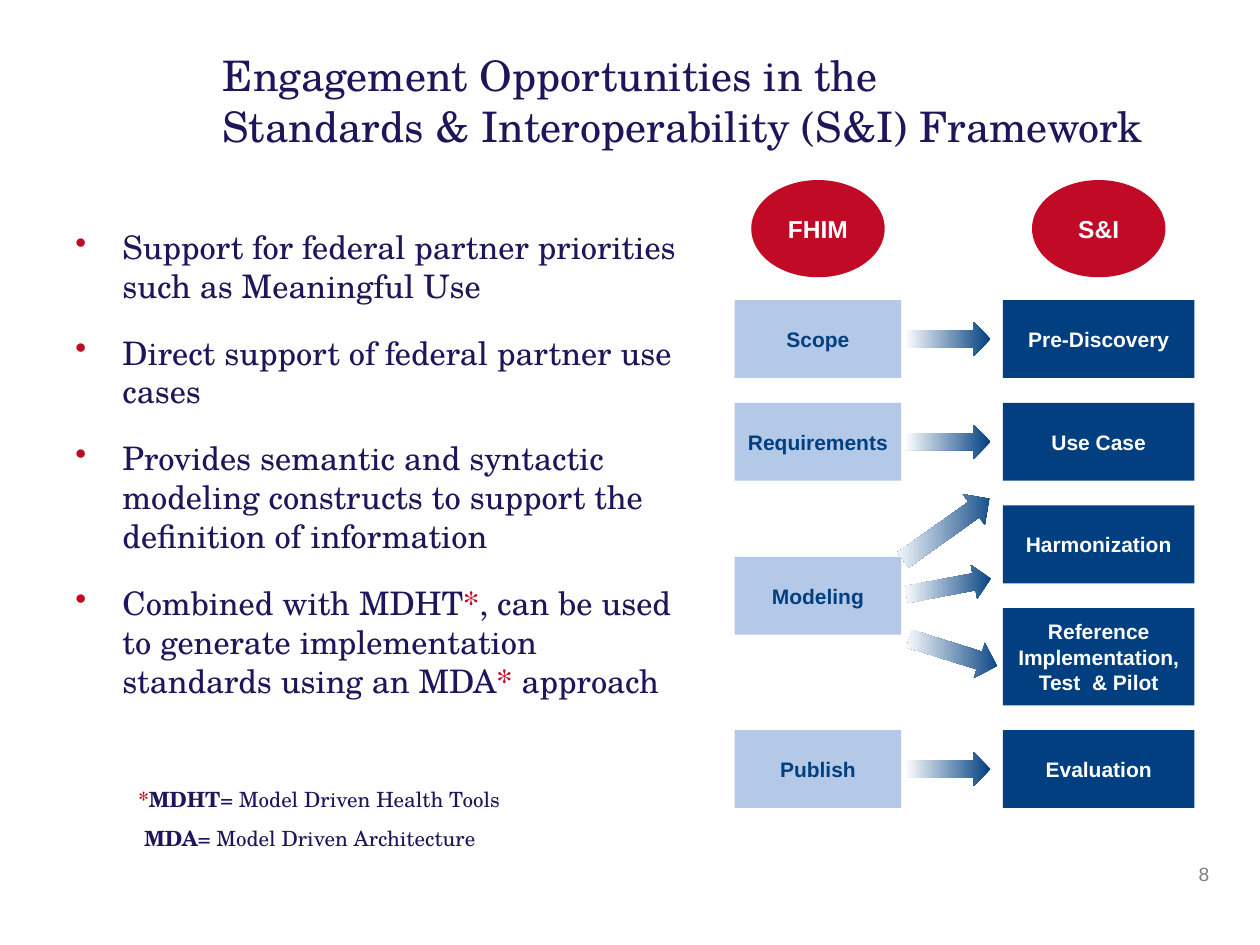
from pptx import Presentation
from pptx.dml.color import RGBColor
from pptx.enum.shapes import MSO_SHAPE
from pptx.enum.text import MSO_ANCHOR, PP_ALIGN
from pptx.oxml import parse_xml
from pptx.oxml.ns import nsdecls
from pptx.util import Cm, Pt

SERIF, SANS = "TeX Gyre Schola", "Arial"
INK, RED, NAVY, PALE = "1D165A", "C10A25", "013F80", "B3C9E7"
WHITE, GREY = "FFFFFF", "808080"

STEP_HEIGHT, TALL_HEIGHT, GAP = 1.57, 1.96, 0.5
FHIM_LEFT, FHIM_WIDTH = 14.81, 3.36
SI_LEFT, SI_WIDTH = 20.22, 3.86
BADGE_TOP, BADGE_WIDTH, BADGE_HEIGHT = 3.63, 2.69, 1.96

SI_STEPS = [
    ("Pre-Discovery", STEP_HEIGHT),
    ("Use Case", STEP_HEIGHT),
    ("Harmonization", STEP_HEIGHT),
    ("Reference Implementation, Test  & Pilot", TALL_HEIGHT),
    ("Evaluation", STEP_HEIGHT),
]
# Text between asterisks is normal; each asterisk itself is red.
POINTS = [
    "Support for federal partner priorities such as Meaningful Use",
    "Direct support of federal partner use cases",
    "Provides semantic and syntactic modeling constructs to support the "
    "definition of information",
    "Combined with MDHT*, can be used to generate implementation standards "
    "using an MDA* approach",
]
ABBREVIATIONS = [
    [("*", RED, True), ("MDHT", INK, True),
     ("= Model Driven Health Tools", INK, False)],
    [(" MDA", INK, True), ("= Model Driven Architecture", INK, False)],
]


def color(hex_code):
    return RGBColor.from_string(hex_code)


def set_font(font, name, size, hex_code, bold=False):
    font.name, font.size, font.bold = name, Pt(size), bold
    font.color.rgb = color(hex_code)


def add_text_frame(slide, left, top, width, height):
    box = slide.shapes.add_textbox(Cm(left), Cm(top), Cm(width), Cm(height))
    box.text_frame.word_wrap = True
    return box.text_frame


def next_paragraph(frame, index):
    return frame.add_paragraph() if index else frame.paragraphs[0]


def add_run(paragraph, text, hex_code, bold=None):
    run = paragraph.add_run()
    run.text = text
    run.font.color.rgb = color(hex_code)
    run.font.bold = bold


def add_bullet(paragraph, hex_code):
    """Give the paragraph a coloured bullet with a hanging indent."""
    properties = paragraph._p.get_or_add_pPr()
    properties.set("marL", str(Cm(0.95)))
    properties.set("indent", str(-Cm(0.95)))
    properties.insert_element_before(
        parse_xml(f'<a:buClr {nsdecls("a")}><a:srgbClr val="{hex_code}"/></a:buClr>'),
        "a:defRPr")
    properties.insert_element_before(
        parse_xml(f'<a:buChar {nsdecls("a")} char="•"/>'), "a:defRPr")


def add_title(slide):
    frame = add_text_frame(slide, 4.24, 0.43, 21.39, 3.18)
    frame.vertical_anchor = MSO_ANCHOR.MIDDLE
    title = frame.paragraphs[0]
    title.text = ("Engagement Opportunities in the \v"
                  "Standards & Interoperability (S&I) Framework")
    set_font(title.font, SERIF, 24, INK)


def add_points(slide):
    frame = add_text_frame(slide, 1.27, 4.45, 12.7, 11.43)
    for index, point in enumerate(POINTS):
        paragraph = next_paragraph(frame, index)
        paragraph.space_before = Pt(16)
        set_font(paragraph.font, SERIF, 18.5, INK)
        add_bullet(paragraph, RED)
        for part_index, part in enumerate(point.split("*")):
            if part_index:
                add_run(paragraph, "*", RED)
            add_run(paragraph, part, INK)


def add_abbreviations(slide):
    frame = add_text_frame(slide, 2.54, 15.88, 8.46, 1.47)
    for index, parts in enumerate(ABBREVIATIONS):
        paragraph = next_paragraph(frame, index)
        paragraph.line_spacing = 0.7
        paragraph.space_before = Pt(12)
        set_font(paragraph.font, SERIF, 12, INK)
        for text, hex_code, bold in parts:
            add_run(paragraph, text, hex_code, bold)


def add_page_number(slide):
    number = add_text_frame(slide, 19.35, 17.25, 5.28, 1.27).paragraphs[0]
    number.text = "8"
    number.alignment = PP_ALIGN.RIGHT
    set_font(number.font, SANS, 11, GREY)


def add_plain_shape(slide, kind, left, top, width, height):
    shape = slide.shapes.add_shape(kind, Cm(left), Cm(top), Cm(width), Cm(height))
    shape.shadow.inherit = False
    shape.line.fill.background()
    return shape


def add_label(slide, kind, box, text, fill, text_color, size=12):
    shape = add_plain_shape(slide, kind, *box)
    shape.fill.solid()
    shape.fill.fore_color.rgb = color(fill)
    frame = shape.text_frame
    frame.word_wrap = True
    frame.margin_left = frame.margin_right = Cm(0.2)
    frame.vertical_anchor = MSO_ANCHOR.MIDDLE
    label = frame.paragraphs[0]
    label.text = text
    label.alignment = PP_ALIGN.CENTER
    set_font(label.font, SANS, size, text_color, bold=True)


def add_badge(slide, text, column_left, column_width):
    left = column_left + (column_width - BADGE_WIDTH) / 2
    add_label(slide, MSO_SHAPE.OVAL, (left, BADGE_TOP, BADGE_WIDTH, BADGE_HEIGHT),
              text, RED, WHITE, size=14)


def add_arrow(slide, left, top, width=1.73, height=0.69, rotation=0):
    """Add an arrow whose fade stays level on the slide when it is turned."""
    arrow = add_plain_shape(slide, MSO_SHAPE.RIGHT_ARROW, left, top, width, height)
    arrow.rotation = rotation
    arrow.fill.gradient()
    arrow.fill.gradient_angle = 180 + rotation
    for stop, hex_code in zip(arrow.fill.gradient_stops, (NAVY, WHITE)):
        stop.color.rgb = color(hex_code)


def add_process(slide):
    add_badge(slide, "FHIM", FHIM_LEFT, FHIM_WIDTH)
    add_badge(slide, "S&I", SI_LEFT, SI_WIDTH)

    tops, top = [], 6.05
    for text, height in SI_STEPS:
        add_label(slide, MSO_SHAPE.RECTANGLE, (SI_LEFT, top, SI_WIDTH, height),
                  text, NAVY, WHITE)
        tops.append(top)
        top += height + GAP

    discovery, use_case, harmonization, pilot, evaluation = tops
    fhim_steps = [("Scope", discovery), ("Requirements", use_case),
                  ("Modeling", (harmonization + pilot) / 2), ("Publish", evaluation)]
    for text, top in fhim_steps:
        add_label(slide, MSO_SHAPE.RECTANGLE,
                  (FHIM_LEFT, top, FHIM_WIDTH, STEP_HEIGHT), text, PALE, NAVY)

    for top in (discovery, use_case, evaluation):
        add_arrow(slide, 18.24, top + (STEP_HEIGHT - 0.69) / 2)
    add_arrow(slide, 18.01, 10.29, 2.13, 0.76, rotation=-35.4)
    add_arrow(slide, 18.26, 11.48, rotation=-10.7)
    add_arrow(slide, 18.29, 12.78, 1.85, 0.74, rotation=17.3)


def main():
    presentation = Presentation()
    presentation.slide_width, presentation.slide_height = Cm(25.4), Cm(19.05)
    slide = presentation.slides.add_slide(presentation.slide_layouts[6])
    add_title(slide)
    add_points(slide)
    add_abbreviations(slide)
    add_page_number(slide)
    add_process(slide)
    presentation.save("out.pptx")


if __name__ == "__main__":
    main()
